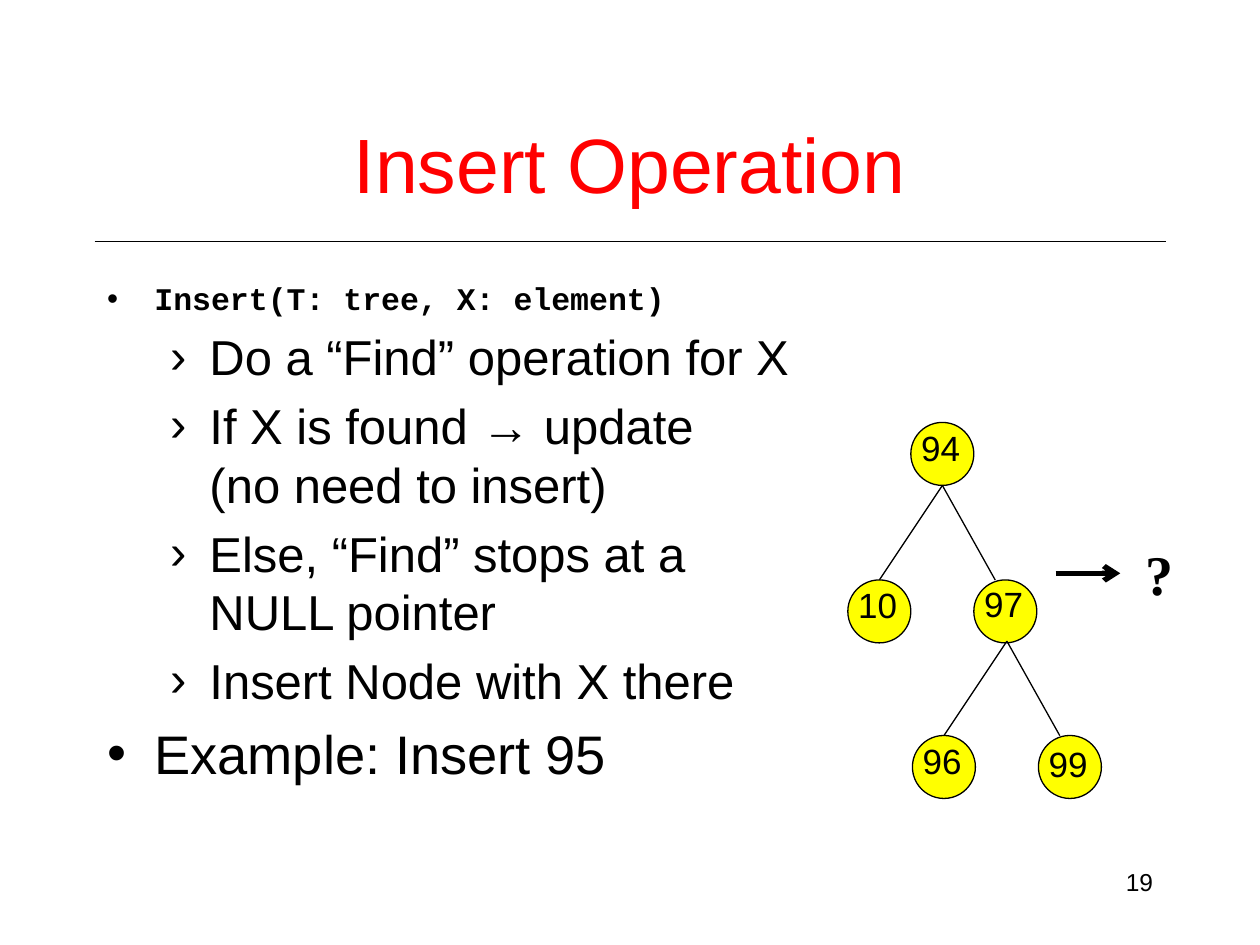
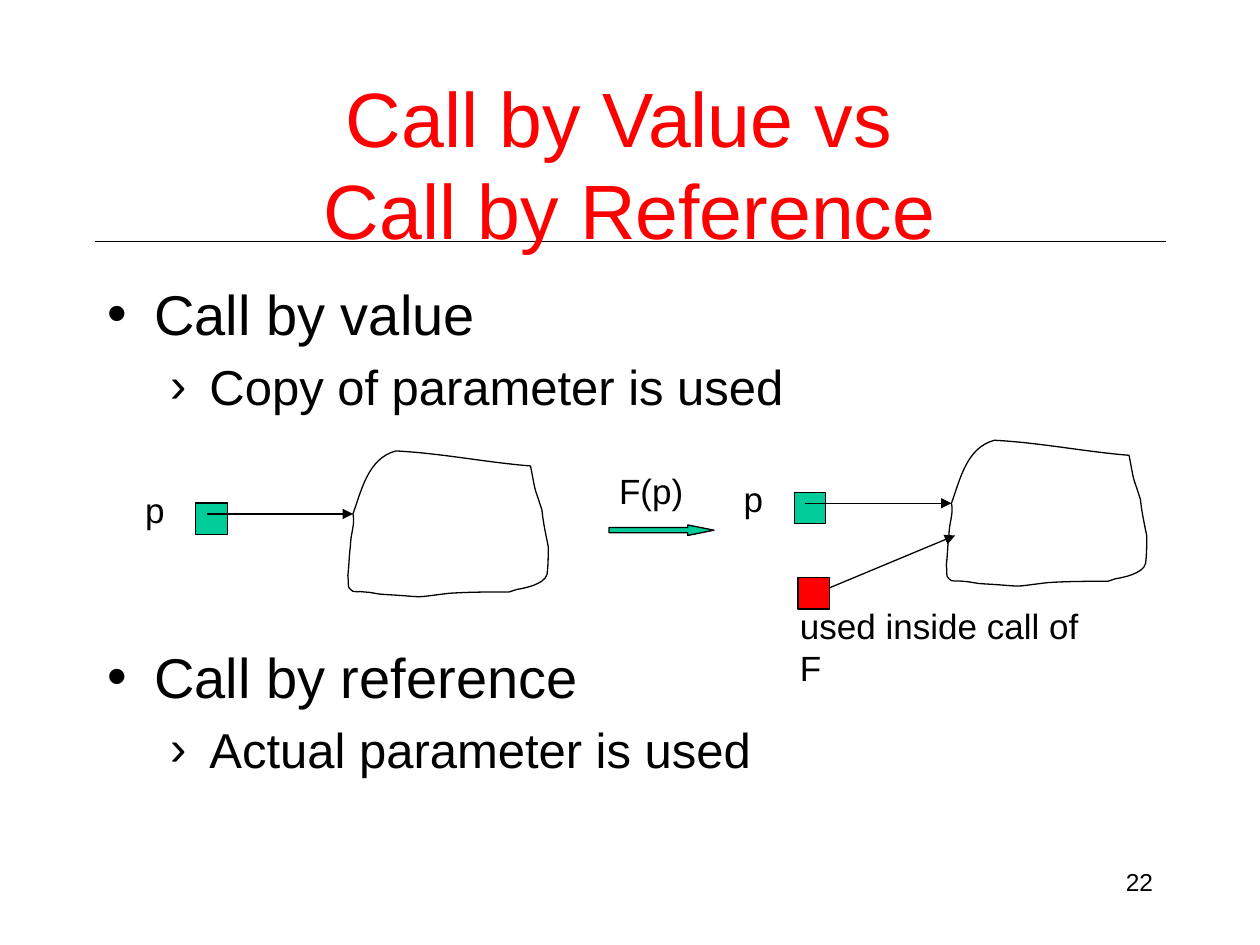
from dataclasses import dataclass
from typing import Any, Optional

import lxml.etree
import pptx
import pptx.dml.color
import pptx.enum.shapes
import pptx.enum.text
import pptx.oxml.ns
import pptx.util

Pt = pptx.util.Pt
Shape = pptx.enum.shapes.MSO_SHAPE
Align = pptx.enum.text.PP_ALIGN
Anchor = pptx.enum.text.MSO_ANCHOR
qn = pptx.oxml.ns.qn

COLORS = {
    "ink": "000000",
    "title": "FF0000",
    "node": "FFFF00",
    "pointer": "00CC99",
    "local": "FF0000",
}
TITLE_FONT = {"name": "Arial", "size": Pt(44), "bold": False}
LABEL_FONT = {"name": "Arial", "size": Pt(20)}
NUMBER_FONT = {"name": "Arial", "size": Pt(14)}
QUESTION_FONT = {"name": "Times New Roman", "size": Pt(32), "bold": True}
FRAME = {"auto_size": pptx.enum.text.MSO_AUTO_SIZE.NONE, "word_wrap": True}
MARGIN, CONTENT_WIDTH, RULE_Y = 54, 612, 138
NODE_SIZE, SQUARE_SIZE, LABEL_HEIGHT = 36, 18, 31
FORK = ((-36, 54), (30.2, 54))

BLOB_CURVES = (
    ((5, -13.7), (8.6, -31.7), (24.5, -36)),
    ((51.1, -34.6), (75.6, -29.5), (101.5, -27.4)),
    ((102.2, -23.8), (103, -19.4), (103.7, -15.8)),
    ((104.4, -12.2), (105.8, -9.4), (106.6, -6.5)),
    ((107.3, -5), (107.3, -3.6), (108, -2.2)),
    ((108.7, 5), (110.2, 11.5), (111.6, 18.7)),
    ((111.6, 23.8), (111.6, 29.5), (110.9, 34.6)),
    ((109.4, 40.3), (97.9, 42.5), (93.6, 43.2)),
    ((92.2, 43.9), (90.7, 43.9), (89.3, 44.6)),
    ((77.8, 44.6), (66.2, 44.6), (54.7, 45.4)),
    ((31.7, 48.2), (43.9, 47.5), (18.7, 46.1)),
    ((14.4, 46.1), (10.1, 44.6), (6.5, 44.6)),
    ((3.6, 43.9), (0, 45.4), (-1.4, 43.2)),
    ((-3.6, 41.8), (-2.2, 38.2), (-2.9, 35.3)),
    ((-2.2, 29.5), (-2.2, 23.8), (-1.4, 18)),
    ((-1.4, 11.5), (1.4, 5.8), (0, 0)),
)


@dataclass(frozen=True)
class Item:
    text: str
    level: int = 0
    size: float = 28
    font: str = "Arial"
    bold: bool = False
    before: Optional[float] = None


@dataclass(frozen=True)
class Label:
    text: str
    x: float
    y: float
    width: float
    height: float = LABEL_HEIGHT
    wrap: bool = True


@dataclass(frozen=True)
class TreeNode:
    key: str
    x: float
    y: float
    label_width: float
    label_drop: float = -1.3
    apex: Optional[tuple] = None


INSERT_STEPS = (
    Item("Insert(T: tree, X: element)", 0, 18, "Courier New", True, 0),
    Item("Do a “Find” operation for X", 1),
    Item("If X is found → update\v(no need to insert)", 1),
    Item("Else, “Find” stops at a NULL pointer", 1),
    Item("Insert Node with X there", 1),
    Item("Example: Insert 95", 0, 31),
)
CALL_KINDS = (
    Item("Call by value", 0, 32, before=0),
    Item("Copy of parameter is used", 1),
    Item("Call by reference", 0, 32, before=129.8),
    Item("Actual parameter is used", 1),
)
TREE = (
    TreeNode("94", 520.5, 241.4, 54.7, apex=(538.5, 277.4)),
    TreeNode("10", 484.5, 331.4, 44.6),
    TreeNode("97", 556.5, 331.4, 54.7, -2, (575.4, 366.4)),
    TreeNode("96", 521.4, 420.3, 62),
    TreeNode("99", 593.4, 420.3, 42.5, 0.7),
)


def set_values(target: Any, values: dict) -> None:
    for key, value in values.items():
        setattr(target, key, value)


def rgb(color: str) -> pptx.dml.color.RGBColor:
    return pptx.dml.color.RGBColor.from_string(COLORS[color])


def style_runs(paragraph: Any, font: dict, color: str = "ink") -> None:
    for run in paragraph.runs:
        set_values(run.font, font)
        run.font.color.rgb = rgb(color)


def place(target: Any, x: float, y: float, width: float, height: float) -> None:
    set_values(target, {"left": Pt(x), "top": Pt(y), "width": Pt(width), "height": Pt(height)})


def outline(line: Any, width: float = 0.75) -> None:
    line.color.rgb = rgb("ink")
    line.width = Pt(width)


def add_filled(slide: Any, kind: Any, x: float, y: float, width: float, height: float, color: str) -> Any:
    filled = slide.shapes.add_shape(kind, Pt(x), Pt(y), Pt(width), Pt(height))
    filled.shadow.inherit = False
    filled.fill.solid()
    filled.fill.fore_color.rgb = rgb(color)
    outline(filled.line)
    return filled


def add_line(slide: Any, start: tuple, end: tuple, width: float = 0.75, head: str = "") -> Any:
    line = slide.shapes.add_connector(
        pptx.enum.shapes.MSO_CONNECTOR.STRAIGHT, *(Pt(value) for value in (*start, *end)))
    outline(line.line, width)
    properties = line._element.spPr
    if head:
        lxml.etree.SubElement(properties.find(qn("a:ln")), qn("a:tailEnd"), type=head)
    lxml.etree.SubElement(properties, qn("a:effectLst"))
    return line


def add_master_rule(deck: Any, slide: Any) -> None:
    rule = add_line(slide, (MARGIN, RULE_Y), (MARGIN + CONTENT_WIDTH, RULE_Y))
    deck.slide_master.shapes._spTree.append(rule._element)


def add_label(slide: Any, label: Label, font: dict = LABEL_FONT, align: Any = Align.LEFT) -> None:
    box = slide.shapes.add_textbox(Pt(label.x), Pt(label.y), Pt(label.width), Pt(label.height))
    box.text_frame.word_wrap = label.wrap
    paragraph = box.text_frame.paragraphs[0]
    paragraph.text = label.text
    paragraph.alignment = align
    style_runs(paragraph, font)


def fill_list(body: Any, items: tuple, width: float) -> None:
    place(body, MARGIN, 156, width, 324)
    frame = body.text_frame
    set_values(frame, FRAME)
    for index, item in enumerate(items):
        paragraph = frame.add_paragraph() if index else frame.paragraphs[0]
        paragraph.text = item.text
        paragraph.level = item.level
        if item.before is not None:
            paragraph.space_before = Pt(item.before)
        if item.level:
            lxml.etree.SubElement(paragraph._p.get_or_add_pPr(), qn("a:buChar"), char="›")
        style_runs(paragraph, {"name": item.font, "size": Pt(item.size), "bold": item.bold})


def add_page(deck: Any, title: str, number: str, items: tuple, list_width: float) -> Any:
    slide = deck.slides.add_slide(deck.slide_layouts[1])
    heading = slide.shapes.title
    place(heading, MARGIN, 48, CONTENT_WIDTH, 90)
    set_values(heading.text_frame, {**FRAME, "vertical_anchor": Anchor.MIDDLE})
    paragraph = heading.text_frame.paragraphs[0]
    paragraph.text = title
    paragraph.alignment = Align.CENTER
    style_runs(paragraph, TITLE_FONT, "title")
    fill_list(slide.placeholders[1], items, list_width)
    add_label(slide, Label(number, 516, 492, 150, 36), NUMBER_FONT, Align.RIGHT)
    return slide


def add_tree_node(slide: Any, node: TreeNode) -> None:
    add_filled(slide, Shape.OVAL, node.x, node.y, NODE_SIZE, NODE_SIZE, "node")
    add_label(slide, Label(node.key, node.x - 1.2, node.y + node.label_drop, node.label_width))
    if node.apex:
        x, y = node.apex
        for dx, dy in FORK:
            add_line(slide, node.apex, (x + dx, y + dy))


def bend_segments(outline_shape: Any) -> None:
    segments = list(outline_shape._element.iter(qn("a:lnTo")))
    for first in range(0, len(segments), 3):
        curve = lxml.etree.Element(qn("a:cubicBezTo"))
        segments[first].addprevious(curve)
        for segment in segments[first:first + 3]:
            curve.append(segment[0])
            segment.getparent().remove(segment)


def add_memory(slide: Any, x: float, y: float) -> None:
    add_filled(slide, Shape.RECTANGLE, x - 89.8, y - 6.3, SQUARE_SIZE, SQUARE_SIZE, "pointer")
    add_label(slide, Label("p", x - 125.8, y - 18, 26, wrap=False))
    add_line(slide, (x - 83.5, y), (x, y), head="triangle")
    builder = slide.shapes.build_freeform(Pt(x), Pt(y), scale=1.0)
    builder.add_line_segments(
        [(Pt(x + dx), Pt(y + dy)) for curve in BLOB_CURVES for dx, dy in curve], close=True)
    blob = builder.convert_to_shape()
    bend_segments(blob)
    blob.shadow.inherit = False
    blob.fill.background()
    outline(blob.line)


def build_insert(deck: Any) -> None:
    slide = add_page(deck, "Insert Operation", "19", INSERT_STEPS, 408)
    add_master_rule(deck, slide)
    for node in TREE:
        add_tree_node(slide, node)
    add_line(slide, (603.2, 327.6), (640.2, 327.6), 3, "arrow")
    add_label(slide, Label("?", 647.3, 304.6, 30, 45, False), QUESTION_FONT)


def build_calls(deck: Any) -> None:
    slide = add_page(deck, "Call by Value vs \vCall by Reference", "22", CALL_KINDS, CONTENT_WIDTH)
    for x, y in ((201.7, 293.7), (543.7, 287.6)):
        add_memory(slide, x, y)
    add_label(slide, Label("F(p)", 346.7, 265, 51, wrap=False))
    add_line(slide, (473.8, 336), (545.8, 306), head="triangle")
    add_filled(slide, Shape.RECTANGLE, 456, 330, SQUARE_SIZE, SQUARE_SIZE, "local")
    call_arrow = add_filled(slide, Shape.RIGHT_ARROW, 348, 300, 60, 6, "pointer")
    call_arrow.adjustments[1] = 2.5
    add_label(slide, Label("used inside call of F", 450, 342, 184))


def main() -> None:
    deck = pptx.Presentation()
    set_values(deck, {"slide_width": Pt(720), "slide_height": Pt(540)})
    build_insert(deck)
    build_calls(deck)
    deck.save("out.pptx")


if __name__ == "__main__":
    main()
